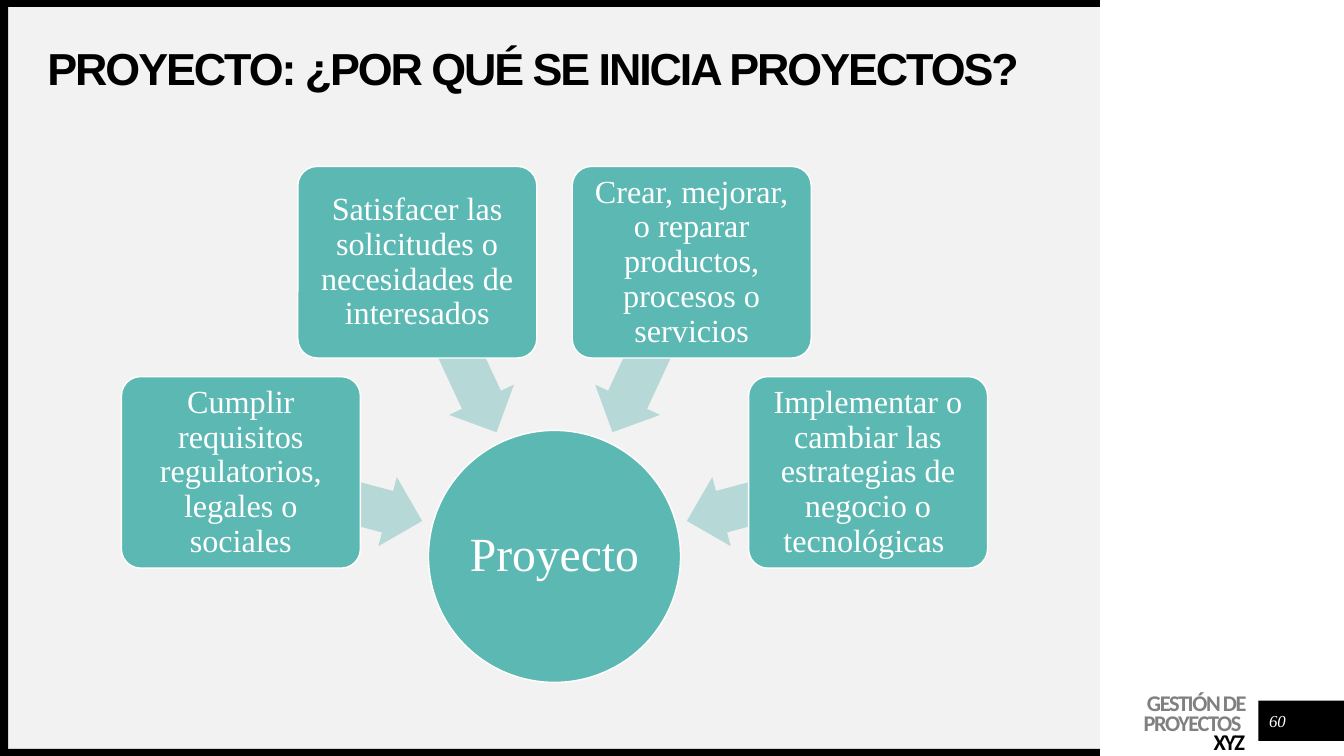
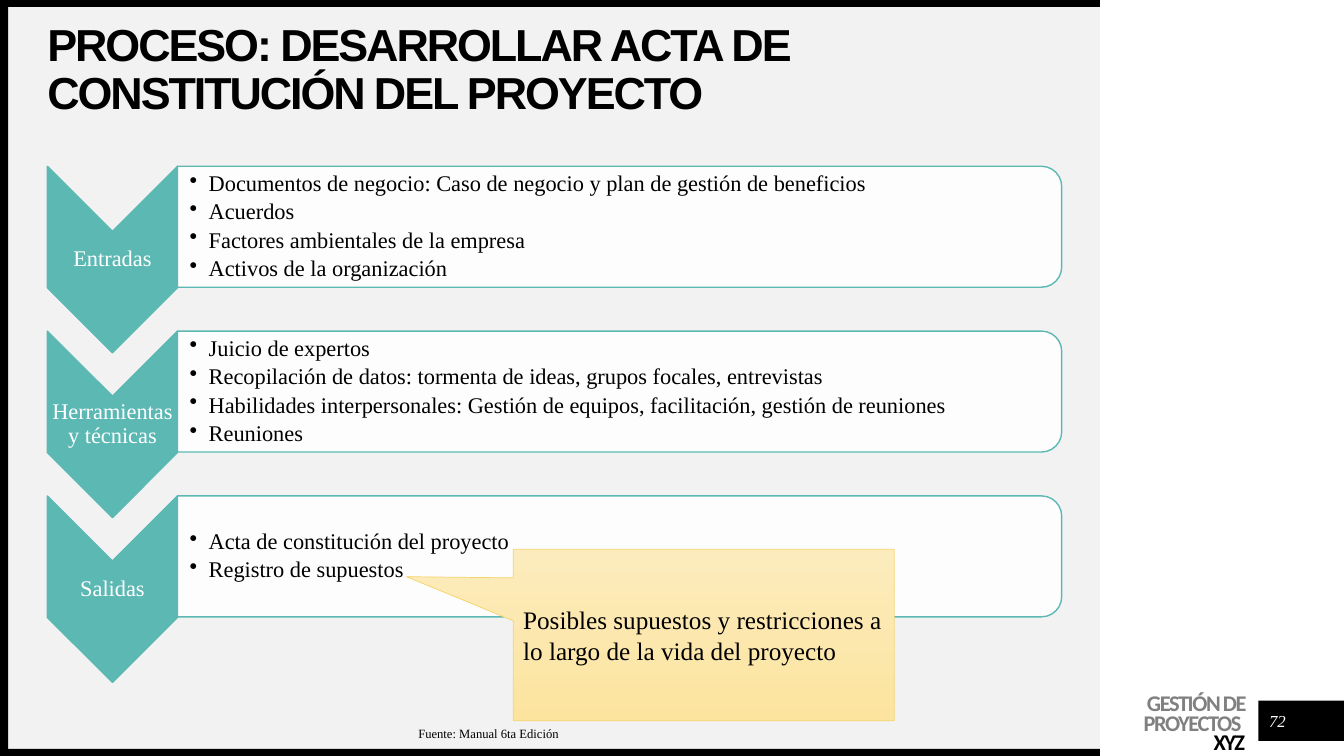
"""Build two project-management slides on a grid of square cells."""
from math import cos, radians, sin

from lxml import etree
from pptx import Presentation
from pptx.dml.color import RGBColor
from pptx.enum.shapes import MSO_SHAPE
from pptx.enum.text import MSO_ANCHOR, PP_ALIGN
from pptx.oxml.ns import qn
from pptx.util import Inches, Pt

RECTANGLE = MSO_SHAPE.RECTANGLE
ROUNDED = MSO_SHAPE.ROUNDED_RECTANGLE
ROUNDED_END = MSO_SHAPE.ROUND_2_SAME_RECTANGLE
ELLIPSE = MSO_SHAPE.OVAL
ARROW = MSO_SHAPE.LEFT_ARROW
CHEVRON = MSO_SHAPE.CHEVRON
CALLOUT = MSO_SHAPE.RECTANGULAR_CALLOUT
LEFT, CENTER, RIGHT = PP_ALIGN.LEFT, PP_ALIGN.CENTER, PP_ALIGN.RIGHT
TOP, MIDDLE = MSO_ANCHOR.TOP, MSO_ANCHOR.MIDDLE

WIDTH, HEIGHT = Inches(13.33), Inches(7.5)
ROWS = 75
CELL = HEIGHT / ROWS
COLUMNS = WIDTH / CELL
PANEL_COLUMNS = 109.1

COLORS = {
    "panel": "F2F2F2",
    "black": "000000",
    "white": "FFFFFF",
    "gray": "808080",
    "teal": "5CB8B3",
    "pale teal": "B6D8D6",
    "light yellow": "FCEBBD",
    "yellow": "FCE49F",
    "gold": "F5D66E",
}
BODY_FONT = "Times New Roman"

HUB = (55, 55.2)
HUB_SIZE = 25
ARROW_RADIUS, BOX_RADIUS = 22.9, 32.2
FIRST_ANGLE, ANGLE_STEP = 195, 50
REASONS = [
    "Cumplir requisitos regulatorios, legales o sociales",
    "Satisfacer las solicitudes o necesidades de interesados",
    "Crear, mejorar, o reparar productos, procesos o servicios",
    "Implementar o cambiar las estrategias de negocio o tecnológicas ",
]

FIRST_ROW, LAST_ROW = 16.5, 49.2
STAGE_LEFT, STAGE_WIDTH, STAGE_HEIGHT = 4.7, 12.9, 18.5
LIST_WIDTH, LIST_HEIGHT = 87.7, 12
STAGES = [
    ("Entradas", [
        "Documentos de negocio: Caso de negocio y plan de gestión de beneficios",
        "Acuerdos",
        "Factores ambientales de la empresa",
        "Activos de la organización",
    ]),
    ("Herramientas y técnicas", [
        "Juicio de expertos",
        "Recopilación de datos: tormenta de ideas, grupos focales, entrevistas",
        "Habilidades interpersonales: Gestión de equipos, facilitación, gestión de reuniones",
        "Reuniones",
    ]),
    ("Salidas", [
        "Acta de constitución del proyecto",
        "Registro de supuestos",
    ]),
]


def color(name):
    """Return a named palette colour."""
    return RGBColor.from_string(COLORS[name])


def box(left, top, width, height):
    """Convert cells to slide lengths."""
    return [round(cells * CELL) for cells in (left, top, width, height)]


def centered(center, width, height):
    """Return a box in cells around a centre."""
    return center[0] - width / 2, center[1] - height / 2, width, height


def around_hub(radius, angle):
    """Return the point at a radius and clockwise angle from the hub."""
    turn = radians(angle)
    return HUB[0] + radius * cos(turn), HUB[1] + radius * sin(turn)


def add_shape(slide, kind, place, fill, line=None, weight=1, rotation=0, adjustments=()):
    """Add a flat preset shape."""
    shape = slide.shapes.add_shape(kind, *box(*place))
    shape.shadow.inherit = False
    shape.rotation = rotation
    shape.fill.solid()
    shape.fill.fore_color.rgb = color(fill)
    if line:
        shape.line.color.rgb = color(line)
        shape.line.width = Pt(weight)
    else:
        shape.line.fill.background()
    for index, value in enumerate(adjustments):
        shape.adjustments[index] = value
    return shape


def write(shape, lines, size, fill="black", font=BODY_FONT, bold=False, italic=False,
          align=LEFT, anchor=MIDDLE, spacing=None, margins=(0, 0, 0, 0), tracking=0):
    """Write equally styled paragraphs and return them."""
    frame = shape.text_frame
    frame.word_wrap = True
    frame.vertical_anchor = anchor
    (frame.margin_left, frame.margin_top,
     frame.margin_right, frame.margin_bottom) = box(*margins)
    frame.text = "\n".join(lines)
    for paragraph in frame.paragraphs:
        paragraph.alignment = align
        paragraph.line_spacing = spacing
        paragraph.font.name = font
        paragraph.font.size = Pt(size)
        paragraph.font.bold = bold
        paragraph.font.italic = italic
        paragraph.font.color.rgb = color(fill)
        if tracking:
            properties = paragraph._p.get_or_add_pPr().get_or_add_defRPr()
            properties.set("spc", str(round(tracking * 100)))
    return frame.paragraphs


def add_text(slide, place, lines, size, **style):
    """Add a text box and return its paragraphs."""
    return write(slide.shapes.add_textbox(*box(*place)), lines, size, **style)


def add_bullet(paragraph):
    """Give a paragraph a hanging round bullet."""
    indent = Inches(0.19)
    properties = paragraph._p.get_or_add_pPr()
    properties.set("marL", str(indent))
    properties.set("indent", str(-indent))
    bullet = etree.Element(qn("a:buChar"), char="•")
    properties.insert_element_before(bullet, "a:tabLst", "a:defRPr", "a:extLst")
    paragraph.space_after = Pt(3)


def set_opacity(shape, percent):
    """Make a solid fill partly transparent."""
    fill = shape._element.spPr.find(qn("a:solidFill"))
    etree.SubElement(fill[0], qn("a:alpha"), val=str(percent * 1000))


def add_slide(presentation, title, number):
    """Add a slide with the shared panel, bands, title and footer."""
    slide = presentation.slides.add_slide(presentation.slide_layouts[6])
    add_shape(slide, RECTANGLE, (0.8, 0.7, PANEL_COLUMNS - 0.8, ROWS - 1.4), "panel")
    for band in (
        (124.8, 69.5, COLUMNS - 124.8, 4),
        (0, ROWS - 0.7, PANEL_COLUMNS, 0.7),
        (0, 0, PANEL_COLUMNS, 0.7),
        (0, 0, 0.8, ROWS),
    ):
        add_shape(slide, RECTANGLE, band, "black")
    footer = add_text(slide, (105.3, 68.7, 18.2, 6.4), ["GESTIÓN DE PROYECTOS ", "XYZ"], 16,
                      fill="gray", font="Calibri", bold=True, align=RIGHT, anchor=TOP,
                      spacing=Pt(14), margins=(0, 0.4, 0, 0), tracking=-1)
    footer[1].font.color.rgb = color("black")
    add_text(slide, (4.7, 4.7, 100.6, 4.7), [title], 32, font="Arial", bold=True,
             spacing=0.9, tracking=-1.5)
    add_text(slide, (125.2, 70, 3, 3), [number], 12, fill="white", italic=True, align=CENTER)
    return slide


def add_hub(slide):
    """Add the central circle."""
    hub = add_shape(slide, ELLIPSE, centered(HUB, HUB_SIZE, HUB_SIZE), "teal", "white")
    write(hub, ["Proyecto"], 34, fill="white", align=CENTER, spacing=0.9,
          margins=(0.2,) * 4)


def add_reason(slide, text, angle):
    """Add a reason box and its arrow towards the hub."""
    add_shape(slide, ARROW, centered(around_hub(ARROW_RADIUS, angle), 18.6, 7.1),
              "pale teal", rotation=angle, adjustments=(0.6, 0.5))
    reason = add_shape(slide, ROUNDED, centered(around_hub(BOX_RADIUS, angle), 23.7, 19),
                       "teal", "white", adjustments=(0.1,))
    write(reason, [text], 23, fill="white", align=CENTER, spacing=0.9, margins=(0.5,) * 4)


def add_stage(slide, name, items, top):
    """Add a downward chevron with its bulleted list."""
    center = (STAGE_LEFT + STAGE_WIDTH / 2, top + STAGE_HEIGHT / 2)
    add_shape(slide, CHEVRON, centered(center, STAGE_HEIGHT, STAGE_WIDTH),
              "teal", "teal", rotation=90)
    add_text(slide, centered(center, STAGE_WIDTH, 5.5), [name], 16, fill="white",
             align=CENTER, spacing=0.9, margins=(0.1,) * 4)
    list_left = STAGE_LEFT + STAGE_WIDTH
    center = (list_left + LIST_WIDTH / 2, top + LIST_HEIGHT / 2)
    panel = add_shape(slide, ROUNDED_END, centered(center, LIST_HEIGHT, LIST_WIDTH),
                      "white", "teal", rotation=90)
    set_opacity(panel, 90)
    for paragraph in add_text(slide, (list_left, top + 0.6, LIST_WIDTH - 0.6, LIST_HEIGHT - 1.2),
                              items, 16, spacing=0.9, margins=(1.2, 0.1, 0.1, 0.1)):
        add_bullet(paragraph)


def add_callout(slide, text):
    """Add the yellow gradient callout."""
    callout = add_shape(slide, CALLOUT, (50.9, 54.5, 37.8, 17), "yellow", "gold", 0.5,
                        adjustments=(-0.78, -0.34))
    callout.fill.gradient()
    callout.fill.gradient_angle = 270
    for stop, name in zip(callout.fill.gradient_stops, ("light yellow", "yellow")):
        stop.color.rgb = color(name)
    write(callout, [text], 18, margins=(1, 0.5, 1, 0.5))


def build_reasons(presentation):
    """Build the slide on why projects start."""
    slide = add_slide(presentation, "PROYECTO: ¿POR QUÉ SE INICIA PROYECTOS?", "60")
    add_hub(slide)
    for index, reason in enumerate(REASONS):
        add_reason(slide, reason, FIRST_ANGLE + index * ANGLE_STEP)


def build_process(presentation):
    """Build the slide on the project charter process."""
    slide = add_slide(presentation, "PROCESO: DESARROLLAR ACTA DE CONSTITUCIÓN DEL PROYECTO", "72")
    pitch = (LAST_ROW - FIRST_ROW) / (len(STAGES) - 1)
    for index, (name, items) in enumerate(STAGES):
        add_stage(slide, name, items, FIRST_ROW + index * pitch)
    add_text(slide, (40.5, 71.5, 64.8, 2.5), ["Fuente: Manual 6ta Edición"], 9,
             anchor=TOP, margins=(1, 0.5, 1, 0.5))
    add_callout(slide, "Posibles supuestos y restricciones a lo largo de la vida del proyecto")


def main():
    """Build and save the presentation."""
    presentation = Presentation()
    presentation.slide_width, presentation.slide_height = WIDTH, HEIGHT
    build_reasons(presentation)
    build_process(presentation)
    presentation.save("out.pptx")


if __name__ == "__main__":
    main()
